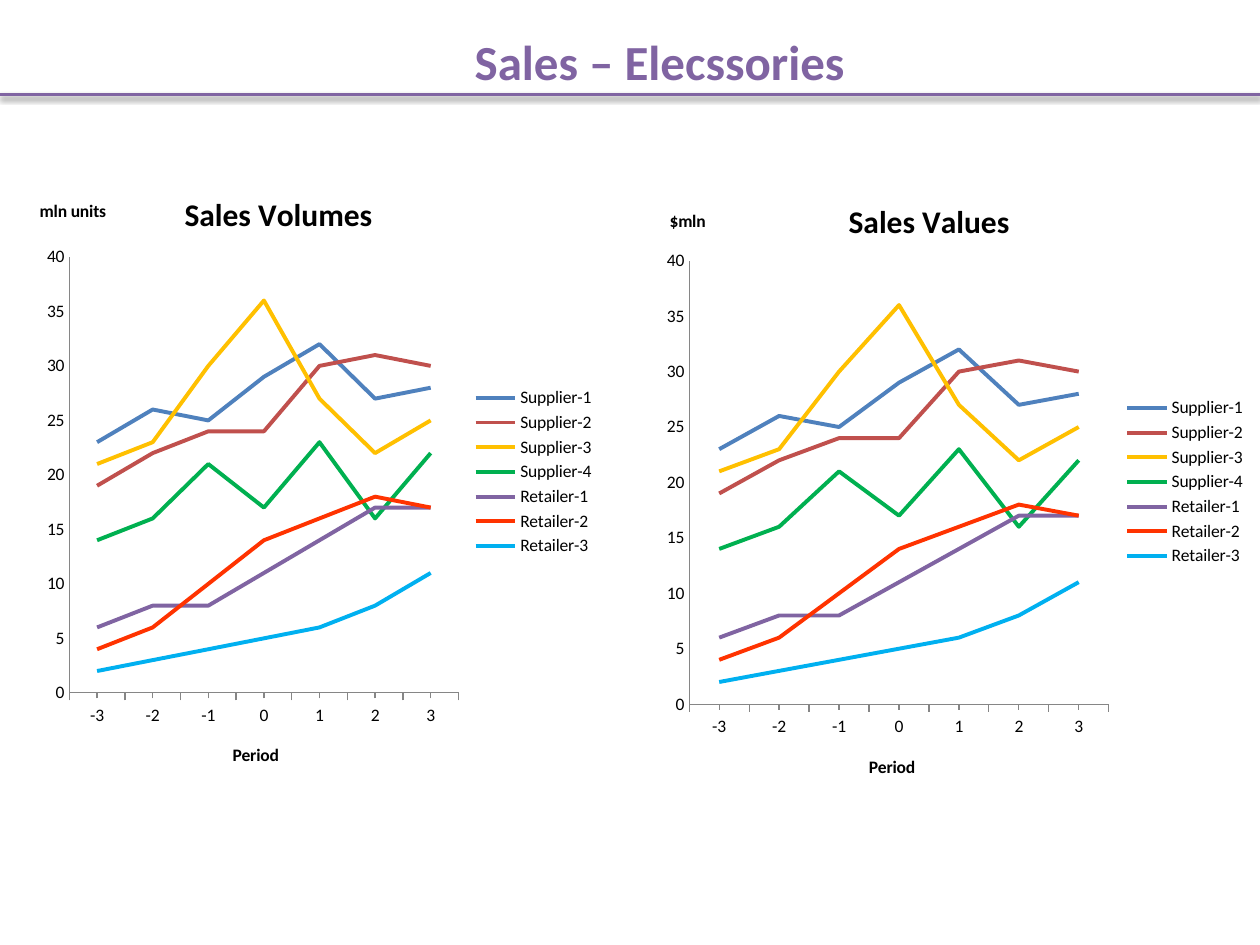
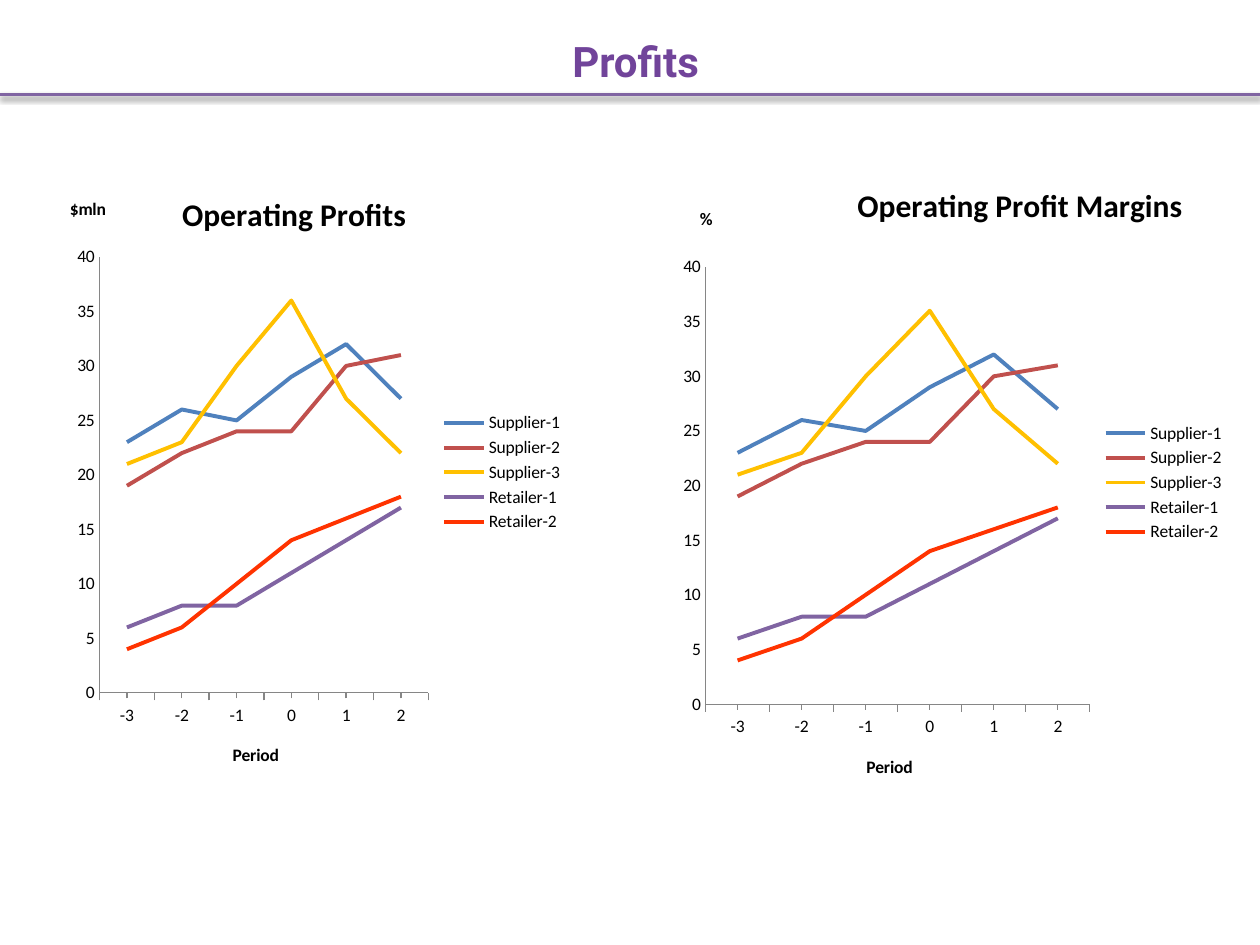
from dataclasses import dataclass

from lxml import etree
from pptx import Presentation
from pptx.chart.data import CategoryChartData
from pptx.dml.color import RGBColor
from pptx.enum.chart import XL_CHART_TYPE, XL_LEGEND_POSITION, XL_TICK_MARK
from pptx.enum.shapes import MSO_CONNECTOR
from pptx.enum.text import MSO_ANCHOR, PP_ALIGN
from pptx.oxml import parse_xml
from pptx.oxml.ns import nsdecls, qn
from pptx.util import Inches, Pt

PURPLE = RGBColor(0x80, 0x64, 0xA2)
VIOLET = RGBColor(0x71, 0x44, 0x9A)
BLUE = RGBColor(0x4F, 0x81, 0xBD)
BRICK = RGBColor(0xC0, 0x50, 0x4D)
AMBER = RGBColor(0xFF, 0xC0, 0x00)
GREEN = RGBColor(0x00, 0xB0, 0x50)
ORANGE = RGBColor(0xFF, 0x33, 0x00)
SKY = RGBColor(0x00, 0xB0, 0xF0)
BLACK = RGBColor(0x00, 0x00, 0x00)
AXIS_GRAY = RGBColor(0x86, 0x86, 0x86)

BODY_FONT = "Calibri"
PERIODS = ["-3", "-2", "-1", "0", "1", "2", "3"]
COMPANIES = {
    "Supplier-1": (BLUE, [23, 26, 25, 29, 32, 27, 28]),
    "Supplier-2": (BRICK, [19, 22, 24, 24, 30, 31, 30]),
    "Supplier-3": (AMBER, [21, 23, 30, 36, 27, 22, 25]),
    "Supplier-4": (GREEN, [14, 16, 21, 17, 23, 16, 22]),
    "Retailer-1": (PURPLE, [6, 8, 8, 11, 14, 17, 17]),
    "Retailer-2": (ORANGE, [4, 6, 10, 14, 16, 18, 17]),
    "Retailer-3": (SKY, [2, 3, 4, 5, 6, 8, 11]),
}
ALL_COMPANIES = list(COMPANIES)
PROFIT_COMPANIES = ["Supplier-1", "Supplier-2", "Supplier-3", "Retailer-1", "Retailer-2"]


@dataclass
class Panel:
    heading: str
    unit: str
    frame: tuple
    plot: tuple
    heading_at: tuple
    unit_at: tuple
    period_at: tuple
    legend_at: tuple


SALES_PANELS = [
    Panel("Sales Volumes", "mln units", (-0.5, 1.25, 5.33, 5), (0.55, 2.04, 3.09, 3.46),
          (1.42, 1.48), (0.29, 1.56), (1.82, 5.88), (3.73, 3.04)),
    Panel("Sales Values", "$mln", (4.67, 1.33, 5.33, 5), (5.47, 2.07, 3.33, 3.52),
          (6.69, 1.54), (5.29, 1.64), (6.87, 5.97), (8.9, 3.12)),
]
PROFIT_PANELS = [
    Panel("Operating Profits", "$mln", (0, 1.25, 4.58, 5), (0.79, 2.04, 2.61, 3.46),
          (1.4, 1.48), (0.53, 1.54), (1.82, 5.88), (3.48, 3.24)),
    Panel("Operating Profit Margins", "%", (5, 1.33, 4.83, 5), (5.6, 2.12, 3.05, 3.47),
          (6.76, 1.41), (5.53, 1.62), (6.85, 5.97), (8.73, 3.32)),
]


def style_font(font, size, color=BLACK, bold=False, name=BODY_FONT):
    font.name = name
    font.size = Pt(size)
    font.bold = bold
    font.color.rgb = color


def add_title(slide, text, left, size, color, name):
    box = slide.shapes.add_textbox(Inches(left), Inches(0.05), Inches(9.75), Inches(0.87))
    frame = box.text_frame
    frame.word_wrap = True
    frame.vertical_anchor = MSO_ANCHOR.MIDDLE
    frame.text = text
    frame.paragraphs[0].alignment = PP_ALIGN.CENTER
    style_font(frame.paragraphs[0].runs[0].font, size, color, True, name)


def add_title_rule(slide):
    rule = slide.shapes.add_connector(
        MSO_CONNECTOR.STRAIGHT, 0, Inches(0.75), Inches(10), Inches(0.75))
    rule.line.color.rgb = PURPLE
    rule.line.width = Pt(2)
    rule._element.spPr.append(parse_xml(
        f'<a:effectLst {nsdecls("a")}>'
        f'<a:outerShdw blurRad="{Pt(3.1)}" dist="{Pt(1.6)}" dir="5400000" rotWithShape="0">'
        '<a:srgbClr val="000000"><a:alpha val="38000"/></a:srgbClr>'
        '</a:outerShdw></a:effectLst>'))


def place(element, index, frame, area):
    for old_layout in element.findall(qn("c:layout")):
        element.remove(old_layout)
    layout = etree.Element(qn("c:layout"))
    manual = etree.SubElement(layout, qn("c:manualLayout"))
    settings = [("xMode", "edge"), ("yMode", "edge")]
    if len(area) == 4:
        settings.insert(0, ("layoutTarget", "inner"))
    left, top, width, height = frame
    fractions = [(area[0] - left) / width, (area[1] - top) / height]
    fractions += [length / whole for length, whole in zip(area[2:], (width, height))]
    settings += [(tag, f"{part:.4f}") for tag, part in zip("xywh", fractions)]
    for tag, value in settings:
        etree.SubElement(manual, qn(f"c:{tag}")).set("val", value)
    element.insert(index, layout)


def set_heading(owner, text, size):
    frame = owner.text_frame
    frame.text = text
    style_font(frame.paragraphs[0].runs[0].font, size, bold=True)
    frame._txBody.bodyPr.set("rot", "0")
    frame._txBody.bodyPr.set("vert", "horz")


def style_axes(chart, unit):
    periods, amounts = chart.category_axis, chart.value_axis
    for axis, text in ((periods, "Period"), (amounts, unit)):
        axis.has_major_gridlines = False
        axis.format.line.color.rgb = AXIS_GRAY
        axis.format.line.width = Pt(0.75)
        style_font(axis.tick_labels.font, 10)
        set_heading(axis.axis_title, text, 10)
    periods.major_tick_mark = periods.minor_tick_mark = XL_TICK_MARK.OUTSIDE
    amounts.major_tick_mark = amounts.minor_tick_mark = XL_TICK_MARK.NONE
    amounts.minimum_scale = 0
    amounts.maximum_scale = 40
    amounts.major_unit = 5


def add_line_chart(slide, panel, companies, periods):
    data = CategoryChartData()
    data.categories = periods
    for company in companies:
        data.add_series(company, COMPANIES[company][1][:len(periods)])
    chart = slide.shapes.add_chart(
        XL_CHART_TYPE.LINE, *map(Inches, panel.frame), data).chart
    style_font(chart.font, 10)
    chart.has_title = True
    set_heading(chart.chart_title, panel.heading, 18)
    style_axes(chart, panel.unit)

    chart.has_legend = True
    chart.legend.position = XL_LEGEND_POSITION.RIGHT
    chart.legend.include_in_layout = False
    style_font(chart.legend.font, 10)

    chart.plots[0].vary_by_categories = False
    for series in chart.plots[0].series:
        series.smooth = False
        series.format.line.color.rgb = COMPANIES[series.name][0]
        series.format.line.width = Pt(2.25)

    for route, index, area in (
        ("c:title", 1, panel.heading_at),
        ("c:plotArea", 0, panel.plot),
        ("c:plotArea/c:catAx/c:title", 1, panel.period_at),
        ("c:plotArea/c:valAx/c:title", 1, panel.unit_at),
        ("c:legend", 1, panel.legend_at),
    ):
        place(chart._chartSpace.xpath(f"c:chart/{route}")[0], index, panel.frame, area)


def add_chart_slide(deck, title, panels, companies, periods):
    slide = deck.slides.add_slide(deck.slide_layouts[6])
    add_title(slide, *title)
    add_title_rule(slide)
    for panel in panels:
        add_line_chart(slide, panel, companies, periods)


def main():
    deck = Presentation()
    deck.slide_width = Inches(10)
    deck.slide_height = Inches(7.5)
    add_chart_slide(deck, ("Sales – Elecssories", 0.36, 28, PURPLE, BODY_FONT),
                    SALES_PANELS, ALL_COMPANIES, PERIODS)
    add_chart_slide(deck, ("Profits", 0.17, 24, VIOLET, "Roboto"),
                    PROFIT_PANELS, PROFIT_COMPANIES, PERIODS[:-1])
    deck.save("out.pptx")


if __name__ == "__main__":
    main()
